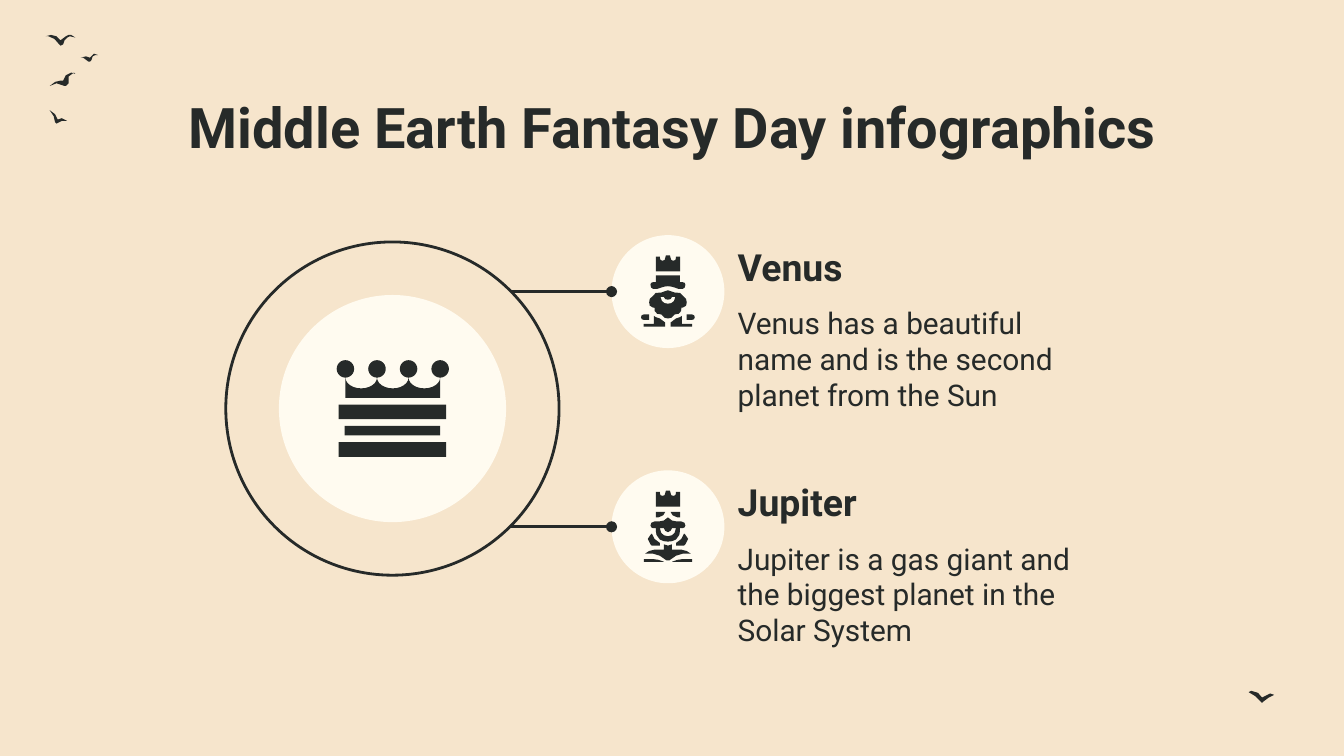
import math

from lxml import etree
from pptx import Presentation
from pptx import util as u
from pptx.dml.color import RGBColor
from pptx.enum import shapes, text
from pptx.oxml import ns

DARK, CREAM, SAND = "262A29", "FFFBF0", "F6E5CC"

presentation = Presentation()
presentation.slide_width, presentation.slide_height = u.Inches(10), u.Inches(10 * 9 / 16)
slide = presentation.slides.add_slide(presentation.slide_layouts[5])
slide.background.fill.solid()
slide.background.fill.fore_color.rgb = RGBColor.from_string(SAND)


def paint(shape, fill=None, line=None):
    shape.shadow.inherit = False
    if fill:
        shape.fill.solid()
        shape.fill.fore_color.rgb = RGBColor.from_string(fill)
    else:
        shape.fill.background()
    if line:
        shape.line.color.rgb = RGBColor.from_string(line)
        shape.line.width = u.Pt(1.5)
    else:
        shape.line.fill.background()


def draw_outline(contours, center_x=0, center_y=0):
    """Draw closed contours, in hundredths of an inch from a centre, as one dark shape."""
    placed = [[(u.Inches((center_x + x) / 100), u.Inches((center_y + y) / 100)) for x, y in contour]
              for contour in contours]
    builder = slide.shapes.build_freeform(*placed[0][0], scale=1.0)
    builder.add_line_segments(placed[0][1:])
    for contour in placed[1:]:
        builder.move_to(*contour[0])
        builder.add_line_segments(contour[1:])
    paint(builder.convert_to_shape(), DARK)


# Birds in the corners
birds = [
    [(51, 26), (49, 27), (45, 30), (42, 27), (38, 26), (34, 27), (36, 27), (40.5, 29), (44, 33),
     (45, 34), (47, 33), (48, 30), (50, 28), (52, 27), (56, 28), (53, 26)],
    [(53, 54), (49, 56), (47, 60), (45, 60), (41, 61), (37, 64), (42, 62), (48, 64), (49, 64),
     (51, 62), (51, 57), (55, 54), (56, 55)],
    [(37, 82), (40, 86.5), (41, 91), (42, 92), (46, 90), (50, 90), (46, 88), (43, 89), (41, 85)],
    [(70, 40), (69, 41), (67, 43), (64, 42), (60, 43), (62, 43), (66, 46), (67, 46), (68, 45),
     (69, 42), (71, 41), (73, 41)],
    [(931, 514), (929, 515), (934, 518), (938, 522), (939, 523), (940, 522), (944, 519),
     (948, 517), (945, 516), (943, 517), (939, 519), (936, 515.5)],
]
for bird in birds:
    draw_outline([bird])

# Title
title = slide.shapes.title
title.left, title.top, title.width, title.height = [u.Inches(n) for n in (0.79, 0.59, 8.43, 0.63)]

# Circles: ring, disc and the two icon discs
ROWS = (2.17, 3.92)
circles = [(2.92, 3.04, 2.48, None, DARK), (2.92, 3.04, 1.69, CREAM, None)]
circles += [(4.97, row, 0.84, CREAM, None) for row in ROWS]
for center_x, center_y, size, fill, line in circles:
    circle = slide.shapes.add_shape(
        shapes.MSO_SHAPE.OVAL, u.Inches(center_x - size / 2), u.Inches(center_y - size / 2),
        u.Inches(size), u.Inches(size))
    paint(circle, fill, line)

# Connectors and text of each row
text_frames = [(title.text_frame, "Middle Earth Fantasy Day infographics", 30, True,
                text.PP_ALIGN.CENTER, text.MSO_ANCHOR.TOP)]
planets = [
    ("Venus", "Venus has a beautiful name and is the second planet from the Sun"),
    ("Jupiter", "Jupiter is a gas giant and the biggest planet in the Solar System"),
]
for row, (name, description) in zip(ROWS, planets):
    connector = slide.shapes.add_connector(
        shapes.MSO_CONNECTOR.STRAIGHT, u.Inches(3.8), u.Inches(row), u.Inches(4.55), u.Inches(row))
    connector.line.color.rgb = RGBColor.from_string(DARK)
    connector.line.width = u.Pt(1.5)
    etree.SubElement(connector.line._get_or_add_ln(), ns.qn("a:tailEnd"), type="oval")
    etree.SubElement(connector._element.spPr, ns.qn("a:effectLst"))

    for content, top, height, size, bold, anchor in [
            (name, row - 0.42, 0.5, 20, True, text.MSO_ANCHOR.BOTTOM),
            (description, row, 0.91, 16, False, text.MSO_ANCHOR.TOP)]:
        box = slide.shapes.add_textbox(u.Inches(5.39), u.Inches(top), u.Inches(2.88), u.Inches(height))
        text_frames.append((box.text_frame, content, size, bold, text.PP_ALIGN.LEFT, anchor))

for frame, content, size, bold, alignment, anchor in text_frames:
    frame.word_wrap = True
    frame.auto_size = text.MSO_AUTO_SIZE.NONE
    frame.vertical_anchor = anchor
    frame.margin_left = frame.margin_right = frame.margin_top = frame.margin_bottom = u.Inches(0.1)
    paragraph = frame.paragraphs[0]
    paragraph.alignment = alignment
    run = paragraph.add_run()
    run.text = content
    run.font.name, run.font.size, run.font.bold = "Roboto", u.Pt(size), bold
    run.font.color.rgb = RGBColor.from_string(DARK)

# Crown: four balls over a scalloped band, then three bars
STEP = 23.5
balls = [(257 + STEP * i, 274.5) for i in range(4)]
angles = [math.radians(15 * i) for i in range(24)]
crown = [[(x + 6.5 * math.cos(a), y + 6.5 * math.sin(a)) for a in angles] for x, y in balls]
scallops = [(x + STEP / 2 * (1 - math.cos(a)), 281 + 8 * math.sin(a))
            for x, y in balls[:-1] for a in angles[:13]]
crown.append(scallops + [(327.5, 296), (257, 296)])
draw_outline(crown)
for top, width, height in [(3.01, 0.8, 0.11), (3.17, 0.71, 0.07), (3.29, 0.8, 0.11)]:
    bar = slide.shapes.add_shape(shapes.MSO_SHAPE.RECTANGLE, u.Inches(2.92 - width / 2),
                                 u.Inches(top), u.Inches(width), u.Inches(height))
    paint(bar, DARK)

# Wizards: right halves of the middle parts, and side parts that come in pairs
hat = [[(1.5, -27), (2, -25), (2.5, -23.5), (4, -23), (5.5, -23.5), (6, -25), (6, -26),
        (9, -26), (9, -15)]]
brim = [[(9, -12), (9, -7), (11, -7), (12.5, -6.5), (13, -5), (12.5, -3), (11, -2), (8, -2),
         (5, -3), (2.5, -3.7), (0, -4)]]
beard = [[(0, -1), (3, 0), (5, 0.7), (9, 1), (11, 3), (13.5, 5.5), (14, 8), (13.5, 10.5),
          (11, 12), (10, 12), (9.8, 14.5), (8, 16.5), (5, 17), (4, 18), (2.5, 19.5), (0, 20)],
         [(0, 6), (2, 5.6), (3, 4), (5.5, 4), (4.5, 7), (2.5, 8.6), (0, 9)]]
hand = [(14, 17), (18, 17), (19.5, 17.6), (20, 19), (19.5, 20.5), (18, 21), (14, 21)]
foot = [(10.5, 18), (9, 19), (6, 20), (4, 21.5), (2, 23), (2, 26), (18, 26), (18, 24), (10.5, 24)]
brow = [(2, -11), (3.5, -8.5), (7, -7), (9, -7), (9, -11)]
face = [[(0, -7), (3, -4.7), (6.5, -4), (10, -4), (12.3, -3), (13, -1), (12.3, 0.5), (11, 1),
         (9, 1), (9, 3), (8.5, 6), (6, 9.5), (3, 10.7), (0, 11)],
        [(0, 4), (2, 3), (3, 1), (6, 1), (5, 4.5), (3, 6.3), (0, 7)]]
hair = [(12, 5), (10, 9), (6, 12), (6, 14), (12, 14), (13, 13), (15, 9), (13, 6)]
robe = [[(0, 14), (3, 13), (3, 17), (10, 17), (14, 18), (17, 20), (11, 20), (6, 21.5), (1, 25)]]
hem = [(18, 24), (11, 24), (7, 24.6), (3, 26), (18, 26)]

wizards = [([hat, brim, beard], [hand, foot]), ([hat, face, robe], [brow, hair, hem])]
for row, (middle_parts, side_parts) in zip(ROWS, wizards):
    for halves in middle_parts:
        draw_outline([half + [(-x, y) for x, y in reversed(half)] for half in halves], 497, row * 100)
    for part in side_parts:
        for side in (-1, 1):
            draw_outline([[(side * x, y) for x, y in part]], 497, row * 100)

presentation.save("out.pptx")
